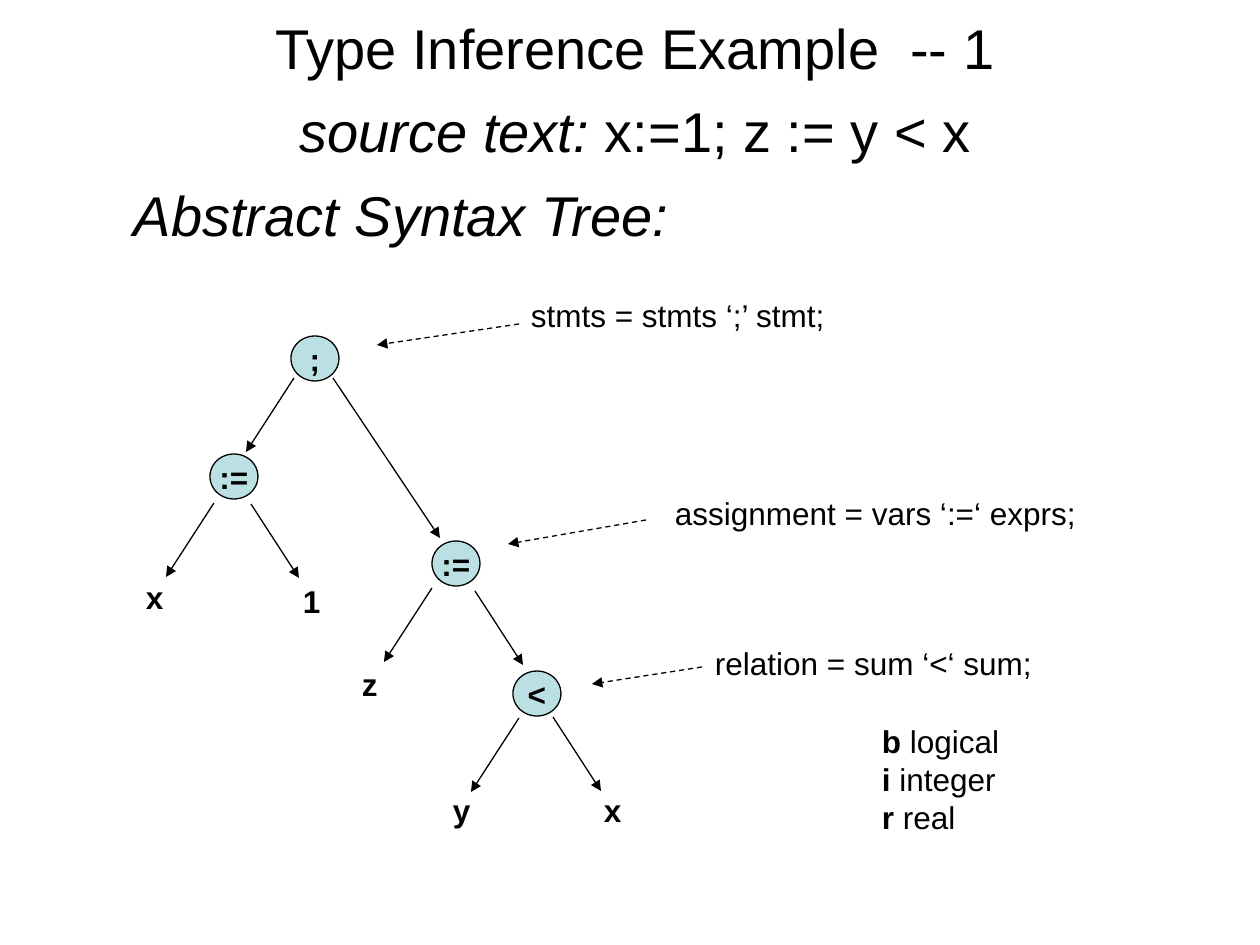
from lxml import etree
from pptx import Presentation
from pptx import util as u
from pptx.dml.color import RGBColor
from pptx.enum import dml, shapes, text
from pptx.oxml.ns import qn

PX = 914400 / 126
COLORS = {"ink": "000000", "node": "BBE0E3"}
FRAME = {"margin_left": 13, "margin_right": 13, "margin_top": 6, "margin_bottom": 6}
NODE, LEAF, BRANCH = (48, 45), (60, 50), (48, 74)


def px(*values):
    """Turn pixel lengths into EMU."""
    return [u.Emu(round(v * PX)) for v in values]


def color(name):
    """Look up a named colour."""
    return RGBColor.from_string(COLORS[name])


def setup(tf, wrap=True, **margins):
    """Set the insets and wrapping of a text frame."""
    for name, value in {**FRAME, **margins}.items():
        setattr(tf, name, px(value)[0])
    tf.word_wrap = wrap
    tf.auto_size = text.MSO_AUTO_SIZE.NONE


def write(p, runs, size=18):
    """Fill a paragraph with (text, format) runs."""
    for words, style in runs:
        r = p.add_run()
        r.text = words
        r.font.color.rgb = color("ink")
        for name, value in {"name": "Arial", "size": u.Pt(size), **style}.items():
            setattr(r.font, name, value)


def label(group, box, lines):
    """Add a text box holding one list of runs per line."""
    tf = group.add_textbox(*px(*box)).text_frame
    setup(tf)
    for i, runs in enumerate(lines):
        write(tf.add_paragraph() if i else tf.paragraphs[0], runs)


def arrow(group, start, end, dashed=False):
    """Draw a thin arrow between two points."""
    sp = group.add_connector(shapes.MSO_CONNECTOR.STRAIGHT, *px(*start, *end))
    sp.line.width = u.Pt(0.75)
    sp.line.color.rgb = color("ink")
    if dashed:
        sp.line.dash_style = dml.MSO_LINE.DASH
    etree.SubElement(sp.line._get_or_add_ln(), qn("a:tailEnd"), type="triangle")
    etree.SubElement(sp._element.spPr, qn("a:effectLst"))


def headings(s, box):
    """Place the three heading lines in the body placeholder."""
    title = s.shapes.title.element
    title.getparent().remove(title)
    sp = s.placeholders[1]
    sp.left, sp.top, sp.width, sp.height = px(*box)
    tf = sp.text_frame
    setup(tf, margin_top=13)
    center, left = text.PP_ALIGN.CENTER, text.PP_ALIGN.LEFT
    lines = [
        (center, 0, [("Type Inference Example  -- 1", {})]),
        (center, 0, [("source text:", {"italic": True}), (" x:=1; z := y < x", {})]),
        (left, 62, [("Abstract Syntax Tree:", {"italic": True})]),
    ]
    for i, (align, indent, runs) in enumerate(lines):
        p = tf.add_paragraph() if i else tf.paragraphs[0]
        pPr = p._p.get_or_add_pPr()
        pPr.set("marL", str(px(indent)[0]))
        pPr.set("indent", "0")
        etree.SubElement(pPr, qn("a:buNone"))
        p.alignment = align
        p.space_before = u.Pt(9.5 if i else 0)
        write(p, runs, 32)


def node(group, box, words):
    """Add a round operator node."""
    sp = group.add_shape(shapes.MSO_SHAPE.OVAL, *px(*box))
    sp.shadow.inherit = False
    sp.fill.solid()
    sp.fill.fore_color.rgb = color("node")
    sp.line.color.rgb = color("ink")
    sp.line.width = u.Pt(0.75)
    tf = sp.text_frame
    setup(tf, wrap=False)
    tf.vertical_anchor = text.MSO_ANCHOR.MIDDLE
    tf.paragraphs[0].alignment = text.PP_ALIGN.CENTER
    write(tf.paragraphs[0], [(words, {"bold": True})])


def tree(s, box):
    """Draw the syntax tree as one group."""
    x0, y0 = box
    group = s.shapes.add_group_shape().shapes
    for words, x, y in [(";", 158, 0), (":=", 299, 205), (":=", 77, 118), ("<", 380, 335)]:
        node(group, (x0 + x, y0 + y, *NODE), words)
    dx, dy = BRANCH
    branches = [(161, 42, -dx, dy), (200, 42, 107, 160),
                (81, 167, -dx, dy), (118, 168, dx, dy),
                (299, 252, -dx, dy), (342, 255, dx, dy),
                (386, 382, -dx, dy), (420, 381, dx, dy)]
    for x, y, w, h in branches:
        arrow(group, (x0 + x, y0 + y), (x0 + x + w, y0 + y + h))
    for words, x, y in [("x", 0, 236), ("1", 157, 240), ("z", 216, 323),
                        ("y", 307, 449), ("x", 458, 449)]:
        label(group, (x0 + x, y0 + y, *LEAF), [[(words, {"bold": True})]])


def rule_note(s, box, words, start, end):
    """Add a grammar rule with a dashed arrow towards its node."""
    x, y = box[:2]
    label(s.shapes, box, [[(words, {})]])
    arrow(s.shapes, (x + start[0], y + start[1]), (x + end[0], y + end[1]), True)


def legend(s, box):
    """List the type letters and their meanings."""
    types = [("b", "logical"), ("i", "integer"), ("r", "real")]
    label(s.shapes, box, [[(key, {"bold": True}), (f" {name}", {})] for key, name in types])


def main():
    """Build and save the slide."""
    prs = Presentation()
    prs.slide_width, prs.slide_height = px(1260, 945)
    s = prs.slides.add_slide(prs.slide_layouts[1])
    headings(s, (59, 0, 1153, 945))
    tree(s, (133, 336))
    notes = [
        ((662, 488), "assignment = vars ‘:=‘ exprs;", (-16, 32), (-154, 56)),
        ((518, 290), "stmts = stmts ‘;’ stmt;", (1, 34), (-141, 55)),
        ((702, 638), "relation = sum ‘<‘ sum;", (0, 29), (-110, 46)),
    ]
    for corner, words, start, end in notes:
        rule_note(s, (*corner, 493, 50), words, start, end)
    legend(s, (869, 716, 338, 126))
    prs.save("out.pptx")


if __name__ == "__main__":
    main()
